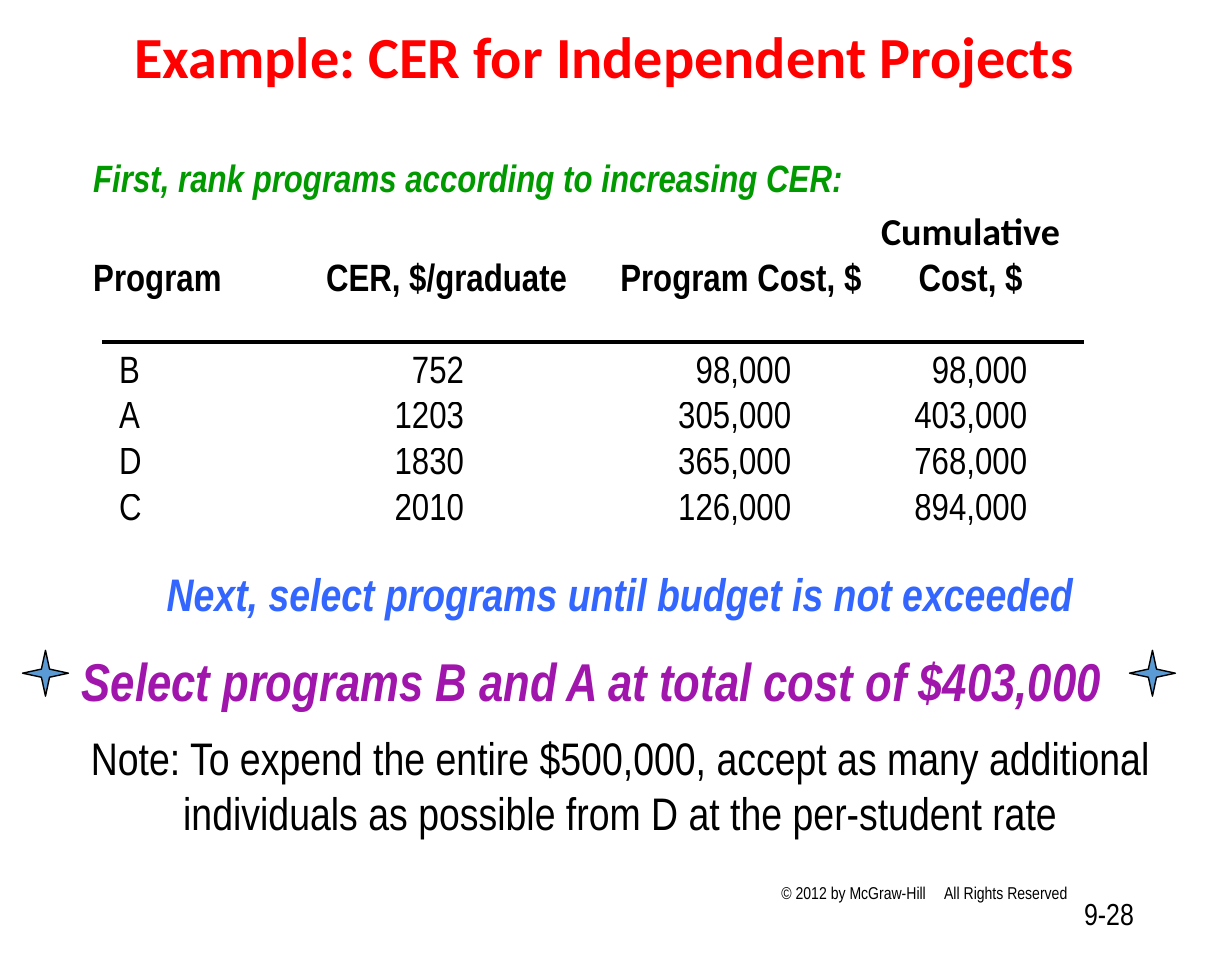
from pptx import Presentation
from pptx.dml.color import RGBColor
from pptx.enum.shapes import MSO_CONNECTOR, MSO_SHAPE
from pptx.enum.text import MSO_ANCHOR as Anchor, MSO_AUTO_SIZE as AutoSize, PP_ALIGN as Align
from pptx.oxml.ns import qn
from pptx.util import Cm, Pt
from lxml.etree import SubElement

BLACK = RGBColor(0x00, 0x00, 0x00)
RED = RGBColor(0xFF, 0x00, 0x00)
GREEN = RGBColor(0x00, 0x99, 0x00)
BLUE = RGBColor(0x33, 0x66, 0xFF)
PURPLE = RGBColor(0xA0, 0x15, 0xAB)
STAR_BLUE = RGBColor(0x5B, 0x9B, 0xD5)
NARROW = "Arial Narrow"


def write(paragraph, text, size, color=BLACK, align=Align.LEFT, **format_values):
    paragraph.text = text
    paragraph.alignment = align
    paragraph.font.color.rgb = color
    values = {"name": NARROW, "size": Pt(size), "bold": False, "italic": False}
    for key, value in (values | format_values).items():
        setattr(paragraph.font, key, value)


def add_text(left, top, width, height, anchor=Anchor.TOP):
    frame = slide.shapes.add_textbox(Cm(left), Cm(top), Cm(width), Cm(height)).text_frame
    frame.word_wrap = True
    frame.vertical_anchor = anchor
    return frame


prs = Presentation()
prs.slide_width, prs.slide_height = Cm(22.86), Cm(17.78)
slide = prs.slides.add_slide(prs.slide_layouts[5])

# Title
title = slide.shapes.title
title.left, title.top, title.width, title.height = Cm(0.25), Cm(0.39), Cm(21.92), Cm(1.93)
title.text_frame.auto_size = AutoSize.NONE
title.text_frame.vertical_anchor = Anchor.TOP
heading = title.text_frame.paragraphs[0]
write(heading, "Example: CER for Independent Projects", 30.6, RED, Align.CENTER,
      name="Calibri", bold=True)
heading.line_spacing = 0.9

# Copyright line, its two halves parted by a tab stop
copyright_line = add_text(14.25, 16.2, 5.87, 0.74, Anchor.MIDDLE).paragraphs[0]
tab_list = SubElement(copyright_line._p.get_or_add_pPr(), qn("a:tabLst"))
SubElement(tab_list, qn("a:tab"), pos=str(Cm(3.02)), algn="l")
write(copyright_line, "© 2012 by McGraw-Hill\tAll Rights Reserved", 9)

# Page number
page_number = add_text(16.13, 16.48, 5.16, 0.94, Anchor.MIDDLE)
write(page_number.paragraphs[0], "9-28", 16, align=Align.RIGHT)

# First step
first_step = add_text(1.48, 2.75, 19.05, 1.1)
write(first_step.paragraphs[0], "First, rank programs according to increasing CER:", 20,
      GREEN, bold=True, italic=True)

# Ranking table
ROW_HEIGHT, HEADER_HEIGHT, HEADER_GAP = 0.85, 2.74, 1.04
columns = [  # heading, width, left margin, right margin of the values
    ("Program", 4.32, 0.48, 0),
    ("CER, $/graduate", 5.46, 0, 2.9),
    ("Program Cost, $", 4.75, 0, 1.58),
    ("Cumulative\nCost, $", 3.5, 0, 0.7),
]
programs = [
    ("B", "752", "98,000", "98,000"),
    ("A", "1203", "305,000", "403,000"),
    ("D", "1830", "365,000", "768,000"),
    ("C", "2010", "126,000", "894,000"),
]
table_width = sum(column[1] for column in columns)
ranking = slide.shapes.add_table(
    len(programs) + 1, len(columns), Cm(1.73), Cm(3.72), Cm(table_width),
    Cm(HEADER_HEIGHT + ROW_HEIGHT * len(programs))).table
ranking.first_row = ranking.horz_banding = False
for row in ranking.rows:
    row.height = Cm(ROW_HEIGHT)
ranking.rows[0].height = Cm(HEADER_HEIGHT)

for col, (label, width, left_margin, right_margin) in enumerate(columns):
    ranking.columns[col].width = Cm(width)
    for row, text in enumerate([label] + [program[col] for program in programs]):
        cell = ranking.cell(row, col)
        cell.fill.background()
        cell.margin_top = cell.margin_bottom = 0
        cell.margin_left = Cm(left_margin if row else 0)
        cell.margin_right = Cm(right_margin if row else 0)
        if row:
            align = Align.RIGHT if col else Align.LEFT
            write(cell.text_frame.paragraphs[0], text, 20, align=align)
            continue
        cell.vertical_anchor = Anchor.BOTTOM
        cell.margin_bottom = Cm(HEADER_GAP)
        cell.text_frame.text = text
        align = Align.CENTER if "\n" in text else Align.LEFT
        for line, paragraph in enumerate(cell.text_frame.paragraphs):
            font_name = "Calibri" if paragraph.text == "Cumulative" else NARROW
            write(paragraph, paragraph.text, 20, align=align, name=font_name, bold=True)
            if line:
                paragraph.space_before = Pt(4)

# Rule under the table heading
rule = slide.shapes.add_connector(MSO_CONNECTOR.STRAIGHT, Cm(1.9), Cm(6.35), Cm(20.12), Cm(6.35))
rule.line.color.rgb = BLACK
rule.line.width = Pt(2.25)
SubElement(rule._element.spPr, qn("a:effectLst"))

# Selection and note
selection = add_text(1.27, 10.38, 20.47, 5.33)
next_step = selection.paragraphs[0]
write(next_step, "Next, select programs until budget is not exceeded", 24, BLUE, Align.CENTER,
      bold=True, italic=True)
choice = selection.add_paragraph()
write(choice, "Select programs B and A at total cost of $403,000", 28, PURPLE,
      bold=True, italic=True)
choice.space_before = Pt(14.5)
note = selection.add_paragraph()
write(note, "Note: To expend the entire $500,000, accept as many additional individuals "
      "as possible from D at the per-student rate", 24, align=Align.CENTER)
note.space_before = Pt(9.5)

# Stars on both sides of the choice
for left in (0.42, 20.96):
    star = slide.shapes.add_shape(MSO_SHAPE.STAR_4_POINT, Cm(left), Cm(12.07), Cm(0.85), Cm(0.85))
    star.shadow.inherit = False
    star.fill.solid()
    star.fill.fore_color.rgb = STAR_BLUE
    star.line.color.rgb = BLACK
    star.line.width = Pt(0.75)

prs.save("out.pptx")
